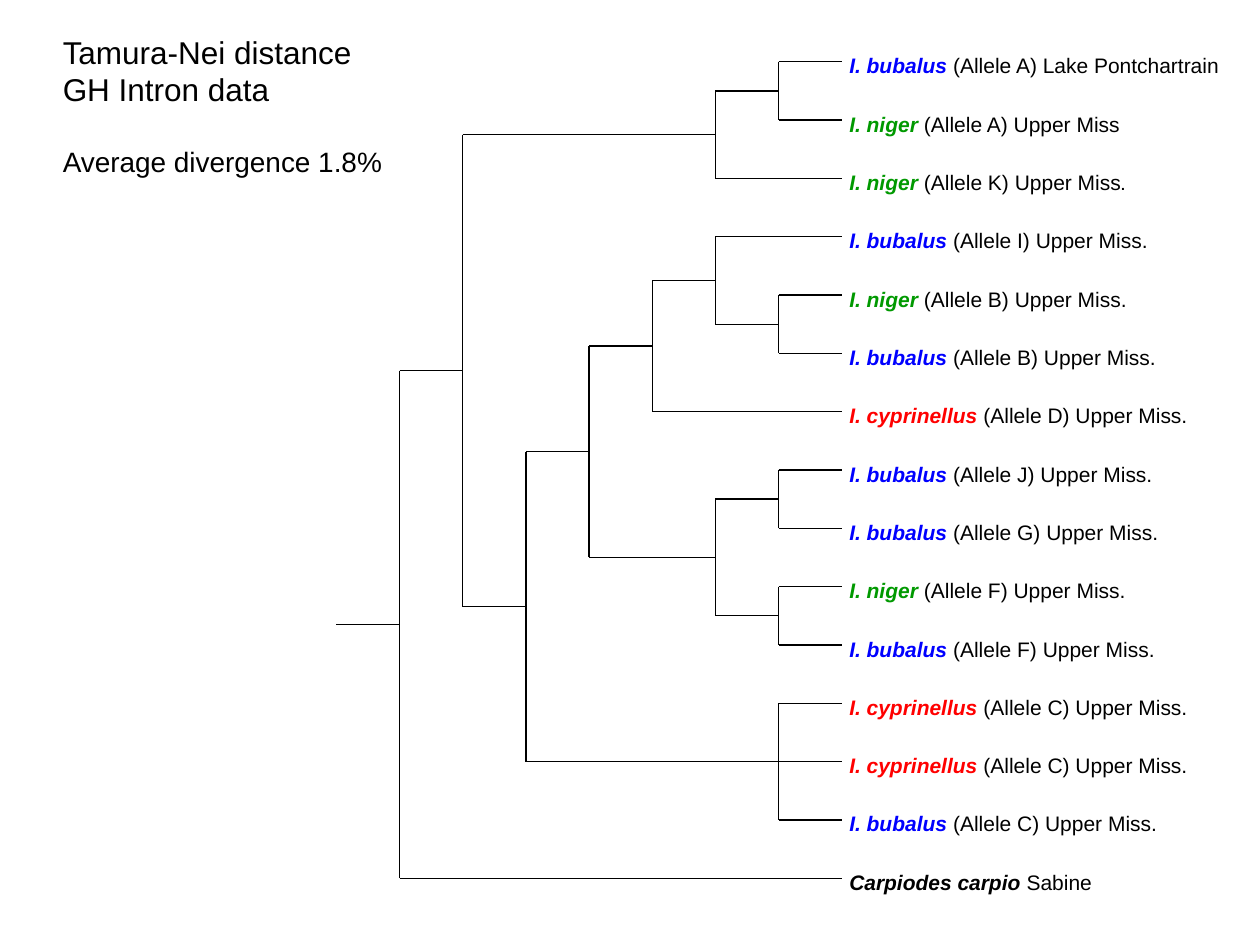
import pptx
import pptx.dml.color
import pptx.enum.shapes
import pptx.enum.text
import pptx.oxml.ns
import pptx.util
from lxml import etree

Inches = pptx.util.Inches
Pt = pptx.util.Pt

COLORS = {
    "black": "000000",
    "I. bubalus": "0000FF",
    "I. niger": "009900",
    "I. cyprinellus": "FF0000",
    "Carpiodes carpio": "000000",
}
FONT = "Arial"
TIP_X, FIRST_TIP_Y, LAST_TIP_Y = 6.68, 0.49, 6.97
ROOT_X, ROOT_LEVEL = 2.67, 8
LABEL_X, LABEL_RISE = 6.74, 0.07

TIPS = [
    ("I. bubalus", " (Allele A) Lake Pontchartrain", ""),
    ("I. niger", " (Allele A) Upper Miss", ""),
    ("I. niger", " (Allele K) Upper Miss", "."),
    ("I. bubalus", " (Allele I) Upper Miss.", ""),
    ("I. niger", " (Allele B) Upper Miss.", ""),
    ("I. bubalus", " (Allele B) Upper Miss.", ""),
    ("I. cyprinellus", " (Allele D) Upper Miss.", ""),
    ("I. bubalus", " (Allele J) Upper Miss.", ""),
    ("I. bubalus", " (Allele G) Upper Miss.", ""),
    ("I. niger", " (Allele F) Upper Miss.", ""),
    ("I. bubalus", " (Allele F) Upper Miss.", ""),
    ("I. cyprinellus", " (Allele C) Upper Miss.", ""),
    ("I. cyprinellus", " (Allele C) Upper Miss.", ""),
    ("I. bubalus", " (Allele C) Upper Miss.", ""),
    ("Carpiodes carpio", " Sabine", ""),
]
UPPER_CLADE = ((0, 1), 2)
MIDDLE_CLADE = (((3, (4, 5)), 6), ((7, 8), (9, 10)))
LOWER_CLADE = (11, 12, 13)
TREE = ((UPPER_CLADE, (MIDDLE_CLADE, LOWER_CLADE)), 14)


def tip_y(index):
    return FIRST_TIP_Y + index * (LAST_TIP_Y - FIRST_TIP_Y) / (len(TIPS) - 1)


def level_x(level):
    return TIP_X - level * (TIP_X - ROOT_X) / ROOT_LEVEL


def add_branch(slide, x1, y1, x2, y2):
    branch = slide.shapes.add_connector(
        pptx.enum.shapes.MSO_CONNECTOR.STRAIGHT,
        Inches(x1), Inches(y1), Inches(x2), Inches(y2))
    branch.line.color.rgb = pptx.dml.color.RGBColor.from_string(COLORS["black"])
    branch.line.width = Pt(0.75)
    etree.SubElement(branch._element.spPr, pptx.oxml.ns.qn("a:effectLst"))


def add_clade(slide, clade):
    if isinstance(clade, int):
        return 0, tip_y(clade)
    children = [add_clade(slide, child) for child in clade]
    level = 1 + max(child_level for child_level, _ in children)
    x = level_x(level)
    for child_level, child_y in children:
        add_branch(slide, x, child_y, level_x(child_level), child_y)
    top, bottom = children[0][1], children[-1][1]
    add_branch(slide, x, top, x, bottom)
    return level, (top + bottom) / 2


def add_text_frame(slide, left, top, width, height):
    frame = slide.shapes.add_textbox(
        Inches(left), Inches(top), Inches(width), Inches(height)).text_frame
    frame.word_wrap = False
    frame.vertical_anchor = pptx.enum.text.MSO_ANCHOR.TOP
    return frame


def style_run(run, size, color, bold=False, italic=False):
    run.font.name = FONT
    run.font.size = Pt(size)
    run.font.bold = bold
    run.font.italic = italic
    run.font.color.rgb = pptx.dml.color.RGBColor.from_string(color)


def add_tip_label(slide, index, species, details, full_stop):
    frame = add_text_frame(slide, LABEL_X, tip_y(index) - LABEL_RISE, 2.95, 0.2)
    frame.margin_left = frame.margin_right = 0
    frame.margin_top = frame.margin_bottom = 0
    label = frame.paragraphs[0]
    label.text = species
    style_run(label.runs[0], 12, COLORS[species], bold=True, italic=True)
    for text, size, bold in ((details, 12, False), (full_stop, 8, True)):
        if text:
            run = label.add_run()
            run.text = text
            style_run(run, size, COLORS["black"], bold=bold)


def add_heading(slide):
    frame = add_text_frame(slide, 0.4, 0.21, 2.74, 1.27)
    frame.text = "Tamura-Nei distance\nGH Intron data\nAverage divergence 1.8%"
    for line, size in zip(frame.paragraphs, (18, 18, 16)):
        style_run(line.runs[0], size, COLORS["black"])
    frame.paragraphs[-1].space_before = Pt(21)


def main():
    deck = pptx.Presentation()
    deck.slide_width = Inches(10)
    deck.slide_height = Inches(7.5)
    slide = deck.slides.add_slide(deck.slide_layouts[6])
    level, root_y = add_clade(slide, TREE)
    add_branch(slide, ROOT_X, root_y, level_x(level), root_y)
    for index, tip in enumerate(TIPS):
        add_tip_label(slide, index, *tip)
    add_heading(slide)
    deck.save("out.pptx")


if __name__ == "__main__":
    main()
